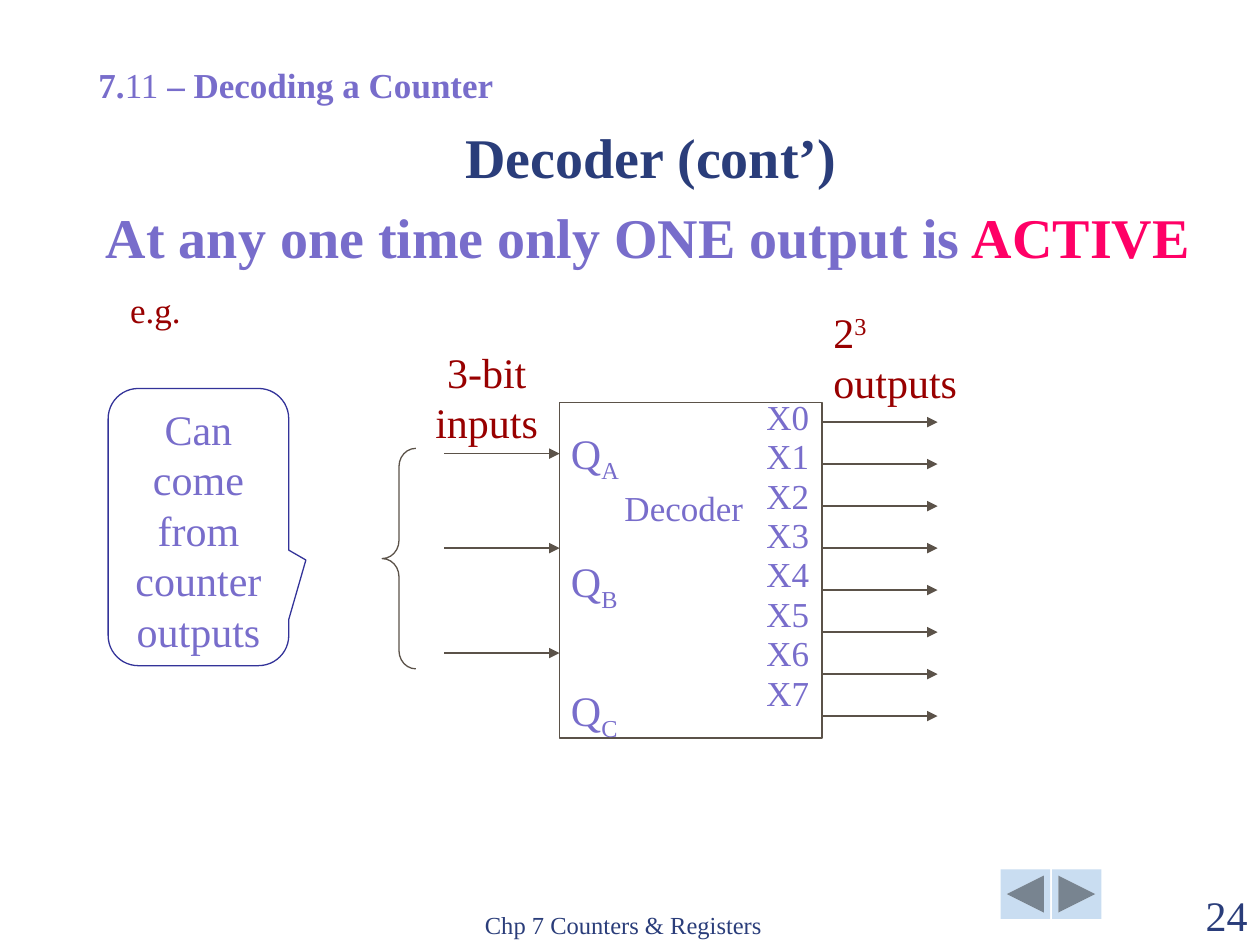
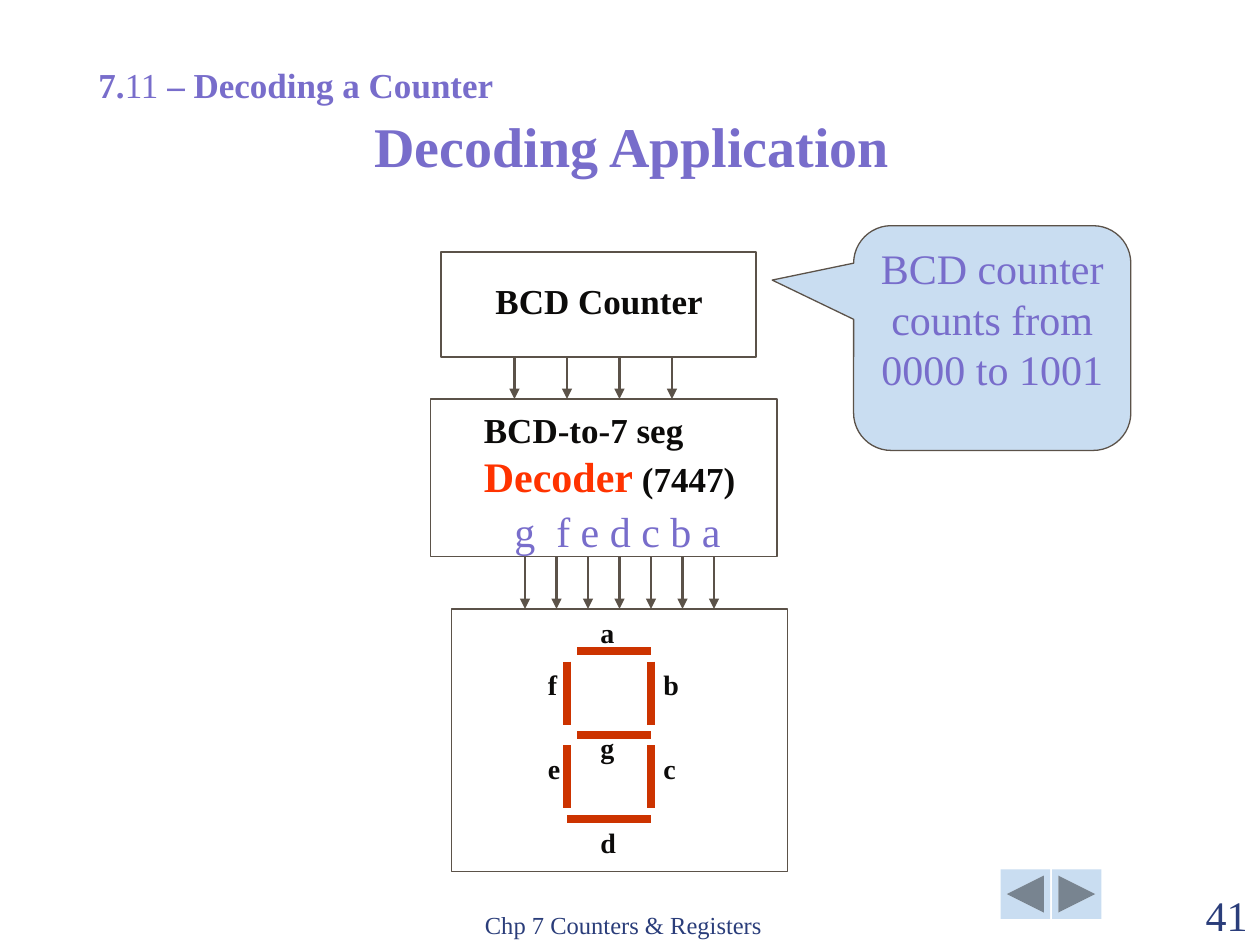
"""Build two slides on decoding a counter, laid out on a 120 by 90 grid."""
import pptx
import pptx.util
import pptx.dml.color
import pptx.enum.shapes
import pptx.enum.text
import pptx.oxml.ns
import lxml.etree

rgb = pptx.dml.color.RGBColor.from_string
SHAPE = pptx.enum.shapes.MSO_SHAPE
ALIGN = pptx.enum.text.PP_ALIGN
ANCHOR = pptx.enum.text.MSO_ANCHOR
qn = pptx.oxml.ns.qn

FONT = "Times New Roman"
VIOLET, NAVY, MAROON, INK = "786DCB", "2A3D7A", "980000", "0C0B0A"
OUTLINE, PALE, SEGMENT = "5B5249", "C9DDF1", "CC3300"

prs = pptx.Presentation()
prs.slide_width = pptx.util.Inches(10)
prs.slide_height = pptx.util.Inches(7.5)
UNIT = prs.slide_width / 120


def add(s, kind, at, paras=(), line=None, fill=None, adj=(), align="LEFT", anchor="TOP",
        wrap=True, before=0, spacing=1.0, **base):
    """Place a title, text box or preset shape and write its paragraphs of runs."""
    box = [round(v * UNIT) for v in at]
    if kind == "title":
        sp = s.shapes.title
        for name, value in zip(("left", "top", "width", "height"), box):
            setattr(sp, name, value)
    elif kind == "text":
        sp = s.shapes.add_textbox(*box)
    else:
        sp = s.shapes.add_shape(getattr(SHAPE, kind), *box)
        sp.shadow.inherit = False
        for i, value in enumerate(adj):
            sp.adjustments[i] = value
        for part, colour in ((sp.fill, fill), (sp.line.fill, line)):
            if colour:
                part.solid()
                part.fore_color.rgb = rgb(colour)
            else:
                part.background()
        if line:
            sp.line.width = pptx.util.Pt(0.75)
    tf = sp.text_frame
    tf.word_wrap = wrap
    tf.auto_size = pptx.enum.text.MSO_AUTO_SIZE.NONE
    tf.vertical_anchor = getattr(ANCHOR, anchor)
    for i, runs in enumerate(paras):
        p = tf.add_paragraph() if i else tf.paragraphs[0]
        p.alignment = getattr(ALIGN, align)
        p.line_spacing = spacing
        p.space_before = pptx.util.Pt(before if i else 0)
        for text, extra in runs:
            fmt = {"size": 24, "bold": False, "color": VIOLET, **base, **extra}
            r = p.add_run()
            r.text = text
            r.font.color.rgb = rgb(fmt["color"])
            for name, value in {"name": FONT, "size": pptx.util.Pt(fmt["size"]),
                                "bold": fmt["bold"]}.items():
                setattr(r.font, name, value)
            for name in ("baseline", "spc"):
                if name in fmt:
                    r._r.get_or_add_rPr().set(name, str(fmt[name]))


def connect(s, x1, y1, x2, y2, colour=OUTLINE, width=0.75, arrow=True):
    """Draw a straight line, with an arrowhead at its end if asked."""
    c = s.shapes.add_connector(pptx.enum.shapes.MSO_CONNECTOR.STRAIGHT,
                               *[round(v * UNIT) for v in (x1, y1, x2, y2)])
    c.line.color.rgb = rgb(colour)
    c.line.width = pptx.util.Pt(width)
    if arrow:
        lxml.etree.SubElement(c._element.spPr.find(qn("a:ln")), qn("a:tailEnd"),
                              type="triangle")
    lxml.etree.SubElement(c._element.spPr, qn("a:effectLst"))


slides = []
for number, title, at, colour in (
        ("24", "Decoder (cont’)", (7, 10.7, 110, 8), NAVY),
        ("41", "Decoding Application", (9.2, 11, 102, 6.6), VIOLET)):
    s = prs.slides.add_slide(prs.slide_layouts[5])
    slides.append(s)
    for x, kind in ((95.3, "ACTION_BUTTON_BACK_OR_PREVIOUS"),
                    (100.2, "ACTION_BUTTON_FORWARD_OR_NEXT")):
        add(s, kind, (x, 82.8, 4.7, 4.7), fill=PALE)
    add(s, "text", (45, 84.1, 38, 6), [[("Chp 7 Counters & Registers", {})]],
        anchor="BOTTOM", size=14, color=NAVY)
    add(s, "text", (108, 84.1, 12, 6), [[(number, {})]],
        align="RIGHT", anchor="BOTTOM", color=NAVY)
    add(s, "title", at, [[(title, {})]], align="CENTER", anchor="BOTTOM",
        size=32, bold=True, color=colour)
    add(s, "text", (8.2, 5.5, 41.8, 5.2),
        [[("7.", {}), ("11", {"bold": False}), (" – Decoding a Counter", {})]],
        size=20, bold=True)

s = slides[0]
add(s, "text", (8.9, 20.4, 107, 5.6),
    [[("At any one time only ONE output is", {}), (" ACTIVE", {"color": "FF0066"})]],
    spacing=0.7, size=32, bold=True)
add(s, "ROUNDED_RECTANGULAR_CALLOUT", (10.3, 37, 17.2, 26.4),
    [[("Can come from counter outputs", {})]], line="333399",
    adj=(0.595, 0.119, 0.167), align="CENTER")
add(s, "RECTANGLE", (53.3, 38.3, 25, 32), line=OUTLINE)
for y in (43.2, 52.2, 62.2):
    connect(s, 42.3, y, 53.3, y)
for row in range(8):
    y = 40.2 + 4 * row
    connect(s, 78.3, y, 89.3, y)
add(s, "text", (53.2, 40.8, 7.2, 24.8),
    [[("Q", {}), (letter, {"baseline": -25000})] for letter in "ABC"],
    wrap=False, before=49, spacing=0.75)
add(s, "text", (58.3, 45.7, 13.7, 5.2), [[("Decoder", {})]], wrap=False, size=20)
add(s, "LEFT_BRACE", (36.4, 42.7, 3.2, 21), line=OUTLINE, adj=(0.541, 0.5))
add(s, "text", (38.9, 32.4, 14.9, 10.8), [[("3-bit inputs", {})]],
    align="CENTER", color=MAROON)
add(s, "text", (78.2, 28.6, 15.1, 10.8),
    [[("2", {}), ("3", {"baseline": 30000}), (" outputs", {})]], color=MAROON)
add(s, "text", (71.8, 38.8, 6.6, 31.2), [[(f"X{i}", {})] for i in range(8)],
    before=10.5, spacing=0.5, size=20)
add(s, "text", (10.1, 26.9, 9.4, 5.2), [[("e.g.", {})]],
    align="CENTER", size=20, color=MAROON)

s = slides[1]
for at in ((42, 24, 30, 10), (41, 38, 33, 15), (43, 58, 32, 25)):
    add(s, "RECTANGLE", at, line=OUTLINE)
for count, left, step, top, bottom in ((4, 49, 5, 34, 38), (7, 50, 3, 53, 58)):
    for i in range(count):
        x = left + step * i
        connect(s, x, top, x, bottom, width=1.5)
add(s, "text", (46, 26, 22.2, 5.2), [[("BCD Counter", {})]],
    wrap=False, size=20, bold=True, color=INK)
add(s, "text", (44.9, 38.3, 26.3, 10),
    [[("BCD-to-7 seg", {})],
     [("Decoder", {"size": 24, "color": "FF3300"}), (" (7447)", {})]],
    wrap=False, size=20, bold=True, color=INK)
add(s, "text", (47.8, 47.6, 23.8, 6), [[("g ", {"spc": 300}), ("f e d c b a", {})]])
for left, y in ((55, 62), (55, 70), (54, 78)):
    connect(s, left, y, 62, y, SEGMENT, 4.5, False)
for x in (54, 62):
    for top in (63, 71):
        connect(s, x, top, x, top + 6, SEGMENT, 4.5, False)
for letter, x, y in (("a", 56, 58), ("b", 62, 63), ("c", 62, 71), ("d", 56, 78),
                     ("e", 51, 71), ("f", 51, 63), ("g", 56, 69)):
    add(s, "text", (x, y, 4, 4.4), [[(letter, {})]], size=16, bold=True, color=INK)
add(s, "ROUNDED_RECTANGULAR_CALLOUT", (81.3, 21.5, 26.4, 21.4),
    [[("BCD counter counts from 0000 to 1001", {})]], line=OUTLINE, fill=PALE,
    adj=(-0.794, -0.258, 0.167), align="CENTER")

prs.save("out.pptx")
